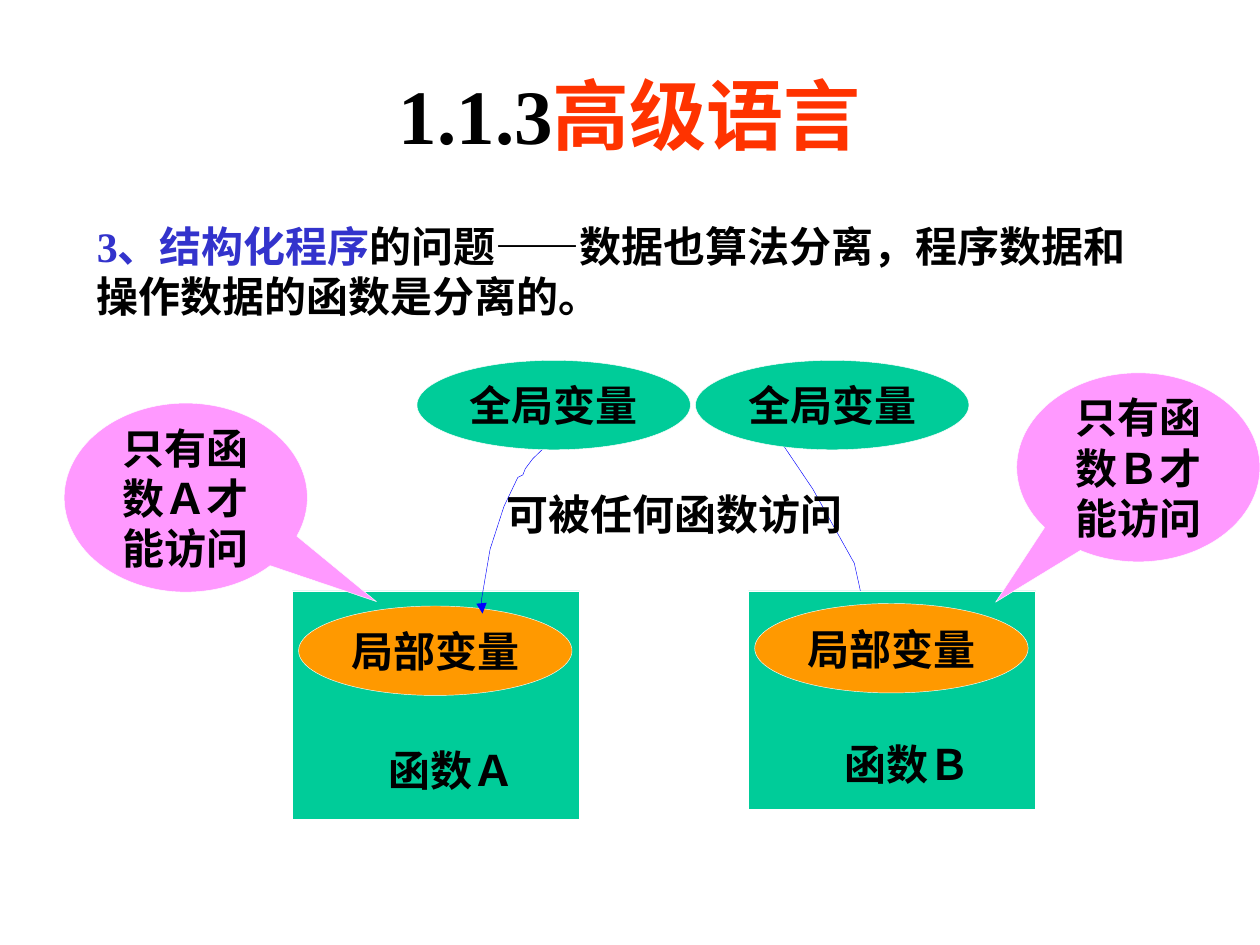
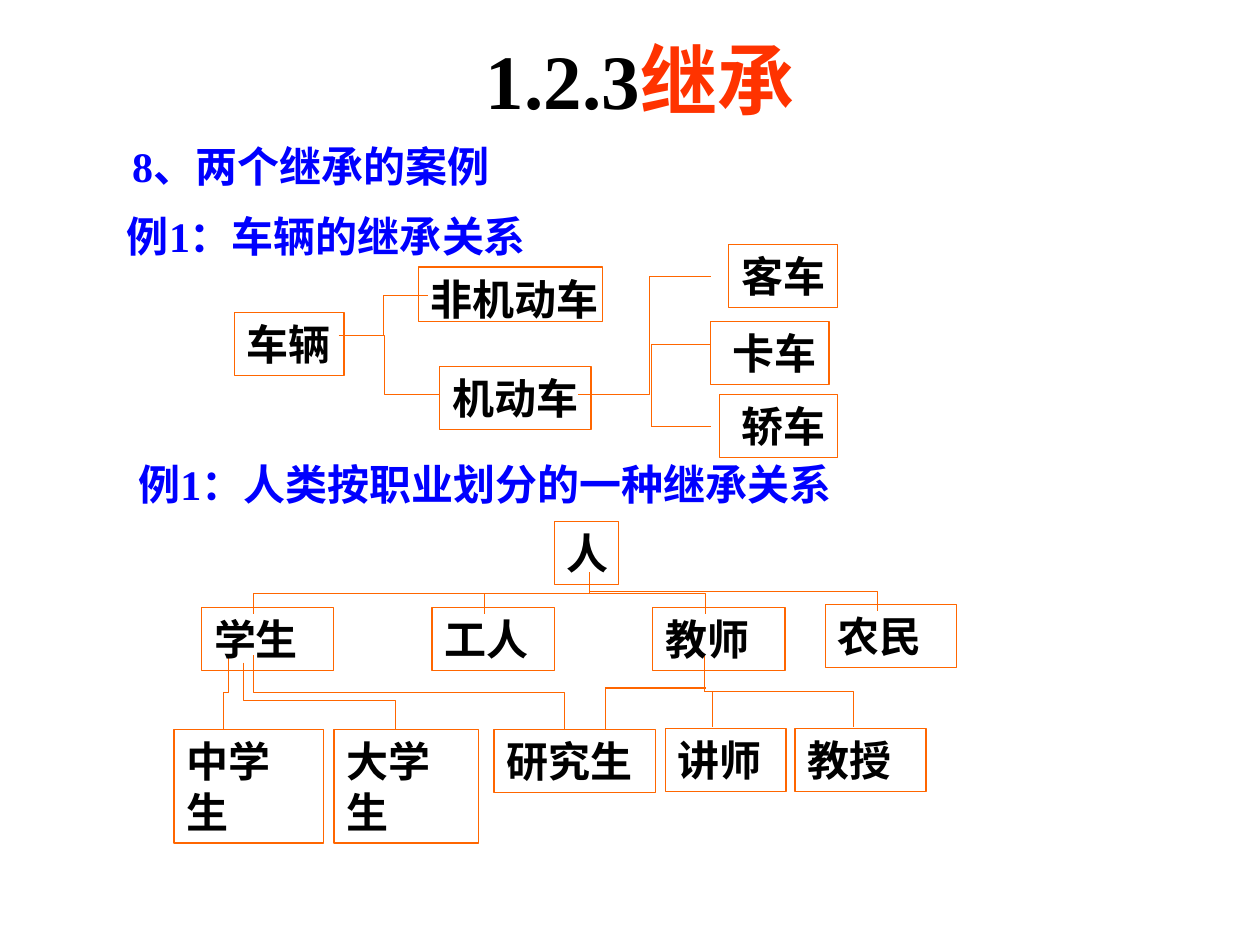
from lxml import etree
from pptx import Presentation
from pptx.dml.color import RGBColor
from pptx.enum.shapes import MSO_CONNECTOR, MSO_SHAPE
from pptx.enum.text import MSO_ANCHOR, MSO_AUTO_SIZE, PP_ALIGN
from pptx.oxml.ns import qn
from pptx.util import Inches, Pt

LINE, ELBOW = MSO_CONNECTOR.STRAIGHT, MSO_CONNECTOR.ELBOW
RECT, OVAL, CALLOUT = MSO_SHAPE.RECTANGLE, MSO_SHAPE.OVAL, MSO_SHAPE.OVAL_CALLOUT
TOP, MIDDLE = MSO_ANCHOR.TOP, MSO_ANCHOR.MIDDLE
LEFT, CENTER = PP_ALIGN.LEFT, PP_ALIGN.CENTER
NO_FIT = MSO_AUTO_SIZE.NONE

BLACK = RGBColor(0x00, 0x00, 0x00)
WHITE = RGBColor(0xFF, 0xFF, 0xFF)
RED = RGBColor(0xFF, 0x33, 0x00)
BLUE = RGBColor(0x00, 0x00, 0xFF)
INDIGO = RGBColor(0x33, 0x33, 0xCC)
GREEN = RGBColor(0x00, 0xCC, 0x99)
ORANGE = RGBColor(0xFF, 0x99, 0x00)
PINK = RGBColor(0xFF, 0x99, 0xFF)
RUST = RGBColor(0xFF, 0x66, 0x00)

SERIF, SANS = "Times New Roman", "Arial"
COLS, ROWS = 10, 7.5
UNIT = Inches(1)
THIN, EDGE = 0.25, 0.75


def grid(*cells):
    return [round(cell * UNIT) for cell in cells]


def write(frame, runs, size=24, color=BLACK, align=CENTER, anchor=TOP, wrap=False):
    frame.auto_size = NO_FIT
    frame.word_wrap = wrap
    frame.vertical_anchor = anchor
    para = frame.paragraphs[0]
    para.alignment = align
    for item in [(runs,)] if isinstance(runs, str) else runs:
        words, tint, face = (*item, color, SERIF)[:3] if len(item) != 2 else (*item, SERIF)
        run = para.add_run()
        run.text = words
        font = run.font
        font.size, font.bold, font.name = Pt(size), True, face
        font.color.rgb = tint


class Deck:
    def __init__(self):
        self.show = Presentation()
        self.show.slide_width, self.show.slide_height = grid(COLS, ROWS)
        self.slide = None

    def page(self, number, topic, left, top):
        self.slide = self.show.slides.add_slide(self.show.slide_layouts[5])
        title = self.slide.shapes.title
        title.left, title.top, title.width, title.height = grid(left, top, 8.5, 1.25)
        write(title.text_frame, [(number, BLACK), (topic, RED)], size=44,
              anchor=MIDDLE, wrap=True)

    def label(self, words, spot, **form):
        box = self.slide.shapes.add_textbox(*grid(*spot))
        write(box.text_frame, words, **form)

    def shape(self, kind, spot, fill=None, line=WHITE, width=THIN, words="",
              bends=(), **form):
        item = self.slide.shapes.add_shape(kind, *grid(*spot))
        for index, bend in enumerate(bends):
            item.adjustments[index] = bend
        self.paint(item, fill, line, width)
        if words:
            write(item.text_frame, words, **form)

    def paint(self, item, fill, line, width):
        item.shadow.inherit = False
        if fill is None:
            item.fill.background()
        else:
            item.fill.solid()
            item.fill.fore_color.rgb = fill
        item.line.color.rgb = line
        item.line.width = Pt(width)

    def node(self, words, left, top, width, height=0.5, **form):
        self.shape(RECT, (left, top, width, height), line=RUST, width=EDGE,
                   words=words, **{"align": LEFT, **form})

    def oval(self, words, left, top, fill):
        self.shape(OVAL, (left, top, 2.17, 0.71), fill, words=words, anchor=MIDDLE)

    def arrow(self, points):
        first, *rest = [grid(*point) for point in points]
        build = self.slide.shapes.build_freeform(*first, scale=1.0)
        build.add_line_segments(rest, close=False)
        item = build.convert_to_shape()
        self.paint(item, None, BLUE, THIN)
        etree.SubElement(item.line._get_or_add_ln(), qn("a:tailEnd"), type="triangle")

    def link(self, kind, start, end, width=THIN, bend=0.5):
        item = self.slide.shapes.add_connector(kind, *grid(*start, *end))
        item.line.color.rgb = RUST
        item.line.width = Pt(width)
        props = item._element.spPr
        etree.SubElement(props, qn("a:effectLst"))
        if bend != 0.5:
            guides = props.find(qn("a:prstGeom")).find(qn("a:avLst"))
            etree.SubElement(guides, qn("a:gd"), name="adj1",
                             fmla=f"val {round(bend * 100000)}")
        return item

    def drop(self, start, end, bend=0.5):
        (x1, y1), (x2, y2) = start, end
        mid, half = (x1 + x2) / 2, (y2 - y1) / 2
        reach, level = abs(x2 - x1) / 2, (y1 + y2) / 2
        side = -half if x2 < x1 else half
        item = self.link(ELBOW, (mid + side, level - reach),
                         (mid - side, level + reach), bend=bend)
        turn = 90 if x2 < x1 else 270
        item._element.spPr.find(qn("a:xfrm")).set("rot", str(turn * 60000))


def language(deck):
    deck.page("1.1.3", "高级语言", 0.75, 0.28)
    deck.arrow([(5.74, 3.14), (6.04, 3.33), (6.12, 3.41), (6.16, 3.45),
                (6.45, 3.88), (6.78, 4.47), (6.82, 4.65), (6.86, 4.85)])
    for name, left, height, top, low in (("函数Ａ", 2.32, 1.81, 4.81, 5.86),
                                         ("函数Ｂ", 5.94, 1.73, 4.79, 5.81)):
        deck.shape(RECT, (left, 4.69, 2.28, height), GREEN)
        deck.oval("局部变量", left + 0.05, top, ORANGE)
        deck.label(name, (left + 0.32, low, 1.89, 0.5), wrap=True)
    for name, left, top, bends in (("Ａ", 0.51, 3.2, (0.784, 0.55)),
                                   ("Ｂ", 8.07, 2.96, (-0.587, 0.713))):
        deck.shape(CALLOUT, (left, top, 1.93, 1.5), PINK, bends=bends,
                   words=f"只有函数{name}才能访问", anchor=MIDDLE, wrap=True)
    deck.label("可被任何函数访问", (3.66, 3.83, 3.39, 0.5))
    deck.arrow([(4.98, 3.2), (4.75, 3.28), (4.64, 3.32), (4.59, 3.36),
                (4.49, 3.39), (4.23, 3.64), (4.17, 3.72), (4.15, 3.77),
                (4.11, 3.79), (4, 4.02), (3.89, 4.36), (3.82, 4.77), (3.83, 4.87)])
    for left in (3.31, 5.52):
        deck.oval("全局变量", left, 2.86, GREEN)
    deck.label([("3、结构化程序", INDIGO), ("的问题", BLACK), ("——", BLACK, SANS),
                ("数据也算法分离，程序数据和操作数据的函数是分离的。", BLACK)],
               (0.67, 1.7, 8.43, 0.9), align=LEFT, wrap=True)


def vehicles(deck):
    deck.link(ELBOW, (2.69, 2.66), (3.4, 2.34))
    deck.link(ELBOW, (2.69, 2.66), (3.48, 3.13), bend=0.45)
    deck.node("车辆", 1.86, 2.48, 0.87)
    deck.node("非机动车", 3.32, 2.12, 1.46, 0.43)
    deck.node("客车", 5.78, 1.94, 0.87, align=CENTER)
    deck.node(" 卡车", 5.64, 2.55, 0.94)
    deck.node(" 轿车", 5.71, 3.13, 0.94)
    deck.link(ELBOW, (4.59, 3.13), (5.64, 2.19), bend=0.534)
    deck.link(LINE, (5.17, 2.73), (5.17, 3.38))
    for row in (3.38, 2.73):
        deck.link(LINE, (5.17, row), (5.64, row))
    deck.node("机动车", 3.49, 2.91, 1.2)


def people(deck):
    for end in ((2.01, 4.87), (3.84, 4.87), (5.6, 4.87), (6.96, 4.85)):
        deck.drop((4.68, 4.54), end)
    deck.drop((1.81, 5.2), (1.77, 5.79))
    deck.drop((1.93, 5.26), (3.14, 5.79), bend=0.562)
    deck.drop((2.01, 5.2), (4.48, 5.79))
    for col in (5.65, 6.77):
        deck.drop((5.59, 5.2), (col, 5.77))
    deck.node("人", 4.4, 4.14, 0.51)
    for words, left, top, width in (("学生", 1.6, 4.82, 1.05), ("工人", 3.43, 4.82, 0.97),
                                    ("教师", 5.18, 4.82, 1.05), ("农民", 6.55, 4.8, 1.04),
                                    ("研究生", 3.92, 5.79, 1.28), ("讲师", 5.28, 5.78, 0.96),
                                    ("教授", 6.31, 5.78, 1.04)):
        deck.node(words, left, top, width)
    for words, left, width in (("中学生", 1.38, 1.19), ("大学生", 2.65, 1.15)):
        deck.node(words, left, 5.79, width, 0.9, wrap=True)
    deck.link(LINE, (4.8, 5.79), (4.8, 5.46))
    deck.link(LINE, (4.8, 5.46), (5.6, 5.46), width=EDGE)


def heirs(deck):
    deck.page("1.2.3", "继承", 0.83, 0)
    for words, left, top, width in (("8、两个继承的案例", 0.95, 1.07, 3.12),
                                    ("例1：车辆的继承关系", 0.91, 1.62, 3.53),
                                    ("例1：人类按职业划分的一种继承关系", 1, 3.59, 5.86)):
        deck.label(words, (left, top, width, 0.5), color=BLUE, align=LEFT)
    vehicles(deck)
    people(deck)


def main():
    deck = Deck()
    language(deck)
    heirs(deck)
    deck.show.save("out.pptx")


if __name__ == "__main__":
    main()
